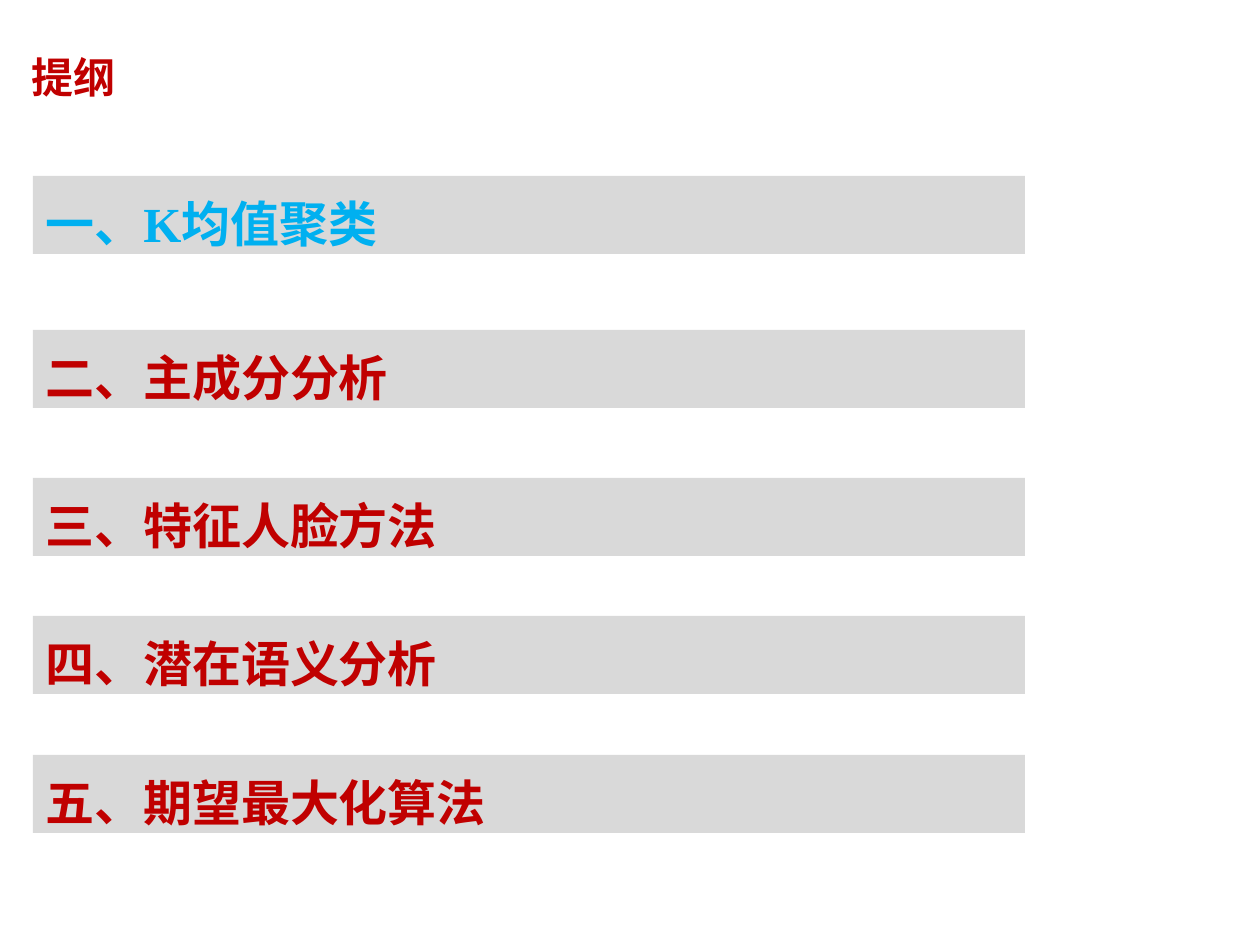
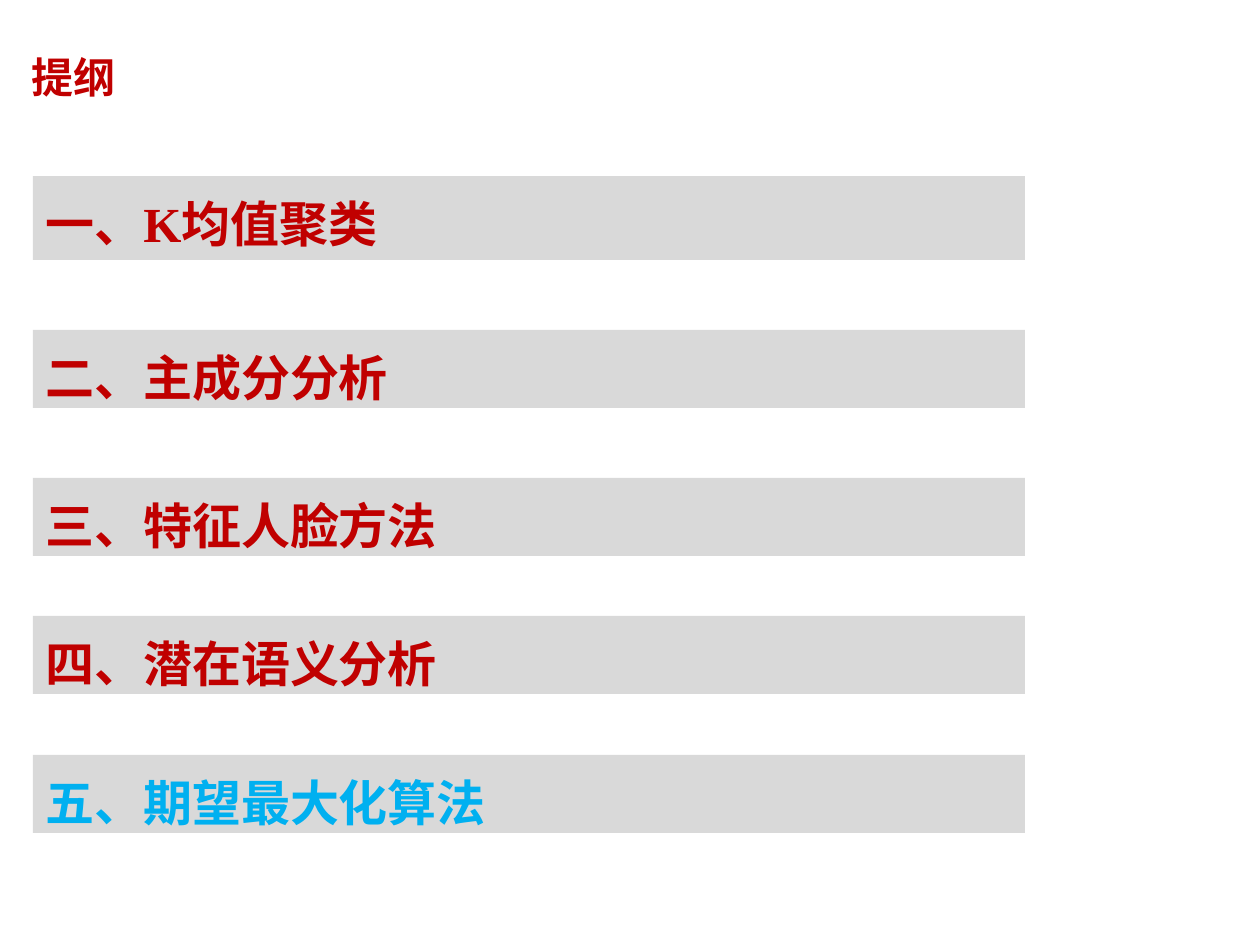
"""Build two outline slides, each with one topic marked."""
from typing import NamedTuple

from pptx import Presentation
from pptx.dml.color import RGBColor
from pptx.enum.shapes import MSO_SHAPE
from pptx.enum.text import MSO_ANCHOR, MSO_AUTO_SIZE, PP_ALIGN
from pptx.util import Emu, Pt

RECT = MSO_SHAPE.RECTANGLE
TOP, MIDDLE = MSO_ANCHOR.TOP, MSO_ANCHOR.MIDDLE
GROW, FIXED = MSO_AUTO_SIZE.SHAPE_TO_FIT_TEXT, MSO_AUTO_SIZE.NONE
LEFT = PP_ALIGN.LEFT
TITLE_ONLY = 5
FONT = "Times New Roman"
RED, BLUE, GREY = "C00000", "00B0F0", "D9D9D9"
BAR_LEFT, BAR_WIDTH, BAR_HEIGHT = 33, 992, 78


class Topic(NamedTuple):
    top: int
    text: str


class Outline(NamedTuple):
    marked: int
    first: int


TOPICS = (
    Topic(176, "一、K均值聚类"),
    Topic(330, "二、主成分分析"),
    Topic(478, "三、特征人脸方法"),
    Topic(616, "四、潜在语义分析"),
    Topic(755, "五、期望最大化算法"),
)
OUTLINES = (Outline(marked=0, first=BAR_HEIGHT), Outline(marked=4, first=84))


def px(count: int) -> Emu:
    return Emu(round(count * 914400 / 126))


def rgb(color: str) -> RGBColor:
    return RGBColor.from_string(color)


def write(shape, text: str, size: int, color: str):
    shape.text_frame.text = text
    para = shape.text_frame.paragraphs[0]
    para.alignment = LEFT
    font = para.font
    font.name, font.size, font.bold = FONT, Pt(size), True
    font.color.rgb = rgb(color)
    return para


def add_title(slide) -> None:
    title = slide.shapes.title
    title.left, title.top = px(2), px(14)
    title.width, title.height = px(935), px(125)
    write(title, "提纲", 24, RED)
    frame = title.text_frame
    frame.auto_size, frame.vertical_anchor = FIXED, MIDDLE
    frame.margin_left = px(30)


def add_bar(slide, topic: Topic, height: int, color: str) -> None:
    bar = slide.shapes.add_shape(
        RECT, px(BAR_LEFT), px(topic.top), px(BAR_WIDTH), px(height))
    bar.shadow.inherit = False
    bar.fill.solid()
    bar.fill.fore_color.rgb = rgb(GREY)
    bar.line.fill.background()
    write(bar, topic.text, 28, color).line_spacing = 1.2
    frame = bar.text_frame
    frame.word_wrap = True
    frame.auto_size, frame.vertical_anchor = GROW, TOP


def main() -> None:
    deck = Presentation()
    deck.slide_width, deck.slide_height = px(1260), px(945)
    for outline in OUTLINES:
        slide = deck.slides.add_slide(deck.slide_layouts[TITLE_ONLY])
        add_title(slide)
        for rank, topic in enumerate(TOPICS):
            height = BAR_HEIGHT if rank else outline.first
            color = BLUE if rank == outline.marked else RED
            add_bar(slide, topic, height, color)
    deck.save("out.pptx")


if __name__ == "__main__":
    main()
